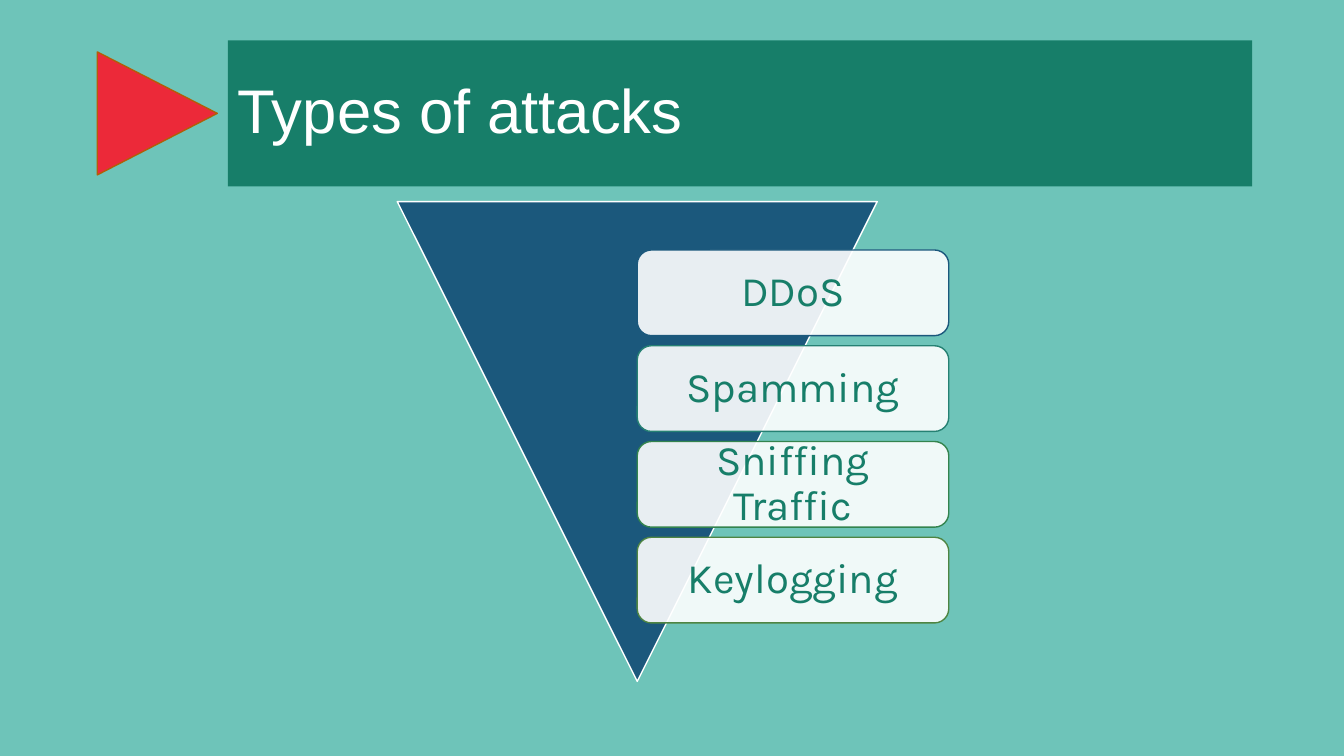
"""Build the slide listing types of attacks on an inverted triangle."""
from lxml.etree import SubElement
from pptx import Presentation
from pptx.dml.color import RGBColor
from pptx.enum.shapes import MSO_SHAPE
from pptx.enum.text import MSO_ANCHOR, PP_ALIGN
from pptx.oxml.ns import qn
from pptx.util import Inches, Pt

TEAL = RGBColor(0x6E, 0xC4, 0xB9)
GREEN = RGBColor(0x17, 0x7E, 0x69)
RED = RGBColor(0xEC, 0x29, 0x39)
BROWN = RGBColor(0xB2, 0x5E, 0x07)
NAVY = RGBColor(0x1B, 0x58, 0x7C)
WHITE = RGBColor(0xFF, 0xFF, 0xFF)

TITLE = "Types of attacks"
ATTACKS = [
    ("DDoS", NAVY),
    ("Spamming", RGBColor(0x26, 0x81, 0x73)),
    ("Sniffing Traffic", RGBColor(0x33, 0x84, 0x4E)),
    ("Keylogging", RGBColor(0x4E, 0x85, 0x42)),
]
CARD_LEFT, CARD_TOP, CARD_WIDTH, CARD_HEIGHT = 6.32, 2.48, 3.09, 0.85
CARD_STEP = 0.95


def add_box(page, kind, place, fill, line=None, rotation=0, opacity=100):
    box = page.shapes.add_shape(kind, *map(Inches, place))
    box.shadow.inherit = False
    box.rotation = rotation
    box.fill.solid()
    box.fill.fore_color.rgb = fill
    if opacity < 100:
        color = box.fill._xPr.find(qn("a:solidFill"))[0]
        SubElement(color, qn("a:alpha")).set("val", str(opacity * 1000))
    if line is None:
        box.line.fill.background()
    else:
        box.line.color.rgb = line
        box.line.width = Pt(1)
    return box


def write(box, text, font, size, color, align, side=0.1, edge=0.05):
    frame = box.text_frame
    frame.word_wrap = True
    frame.vertical_anchor = MSO_ANCHOR.MIDDLE
    frame.margin_left = frame.margin_right = Inches(side)
    frame.margin_top = frame.margin_bottom = Inches(edge)
    para = frame.paragraphs[0]
    para.alignment = align
    para.line_spacing = 0.9
    span = para.add_run()
    span.text = text
    span.font.name = font
    span.font.size = Pt(size)
    span.font.color.rgb = color


def main():
    deck = Presentation()
    deck.slide_width, deck.slide_height = Inches(13.33), Inches(7.5)
    page = deck.slides.add_slide(deck.slide_layouts[6])
    page.background.fill.solid()
    page.background.fill.fore_color.rgb = TEAL

    triangle = MSO_SHAPE.ISOSCELES_TRIANGLE
    add_box(page, triangle, (0.95, 0.53, 1.22, 1.19), RED, BROWN, rotation=90)
    banner = add_box(page, MSO_SHAPE.RECTANGLE, (2.26, 0.4, 10.16, 1.45), GREEN)
    write(banner, TITLE, "Arial", 44, WHITE, PP_ALIGN.LEFT)
    add_box(page, triangle, (3.94, 2, 4.76, 4.76), NAVY, WHITE, rotation=180)

    for row, (attack, outline) in enumerate(ATTACKS):
        place = (CARD_LEFT, CARD_TOP + row * CARD_STEP, CARD_WIDTH, CARD_HEIGHT)
        card = add_box(page, MSO_SHAPE.ROUNDED_RECTANGLE, place, WHITE, outline, opacity=90)
        write(card, attack, "Karla", 30, GREEN, PP_ALIGN.CENTER, side=0.13, edge=0.12)

    deck.save("out.pptx")


if __name__ == "__main__":
    main()
